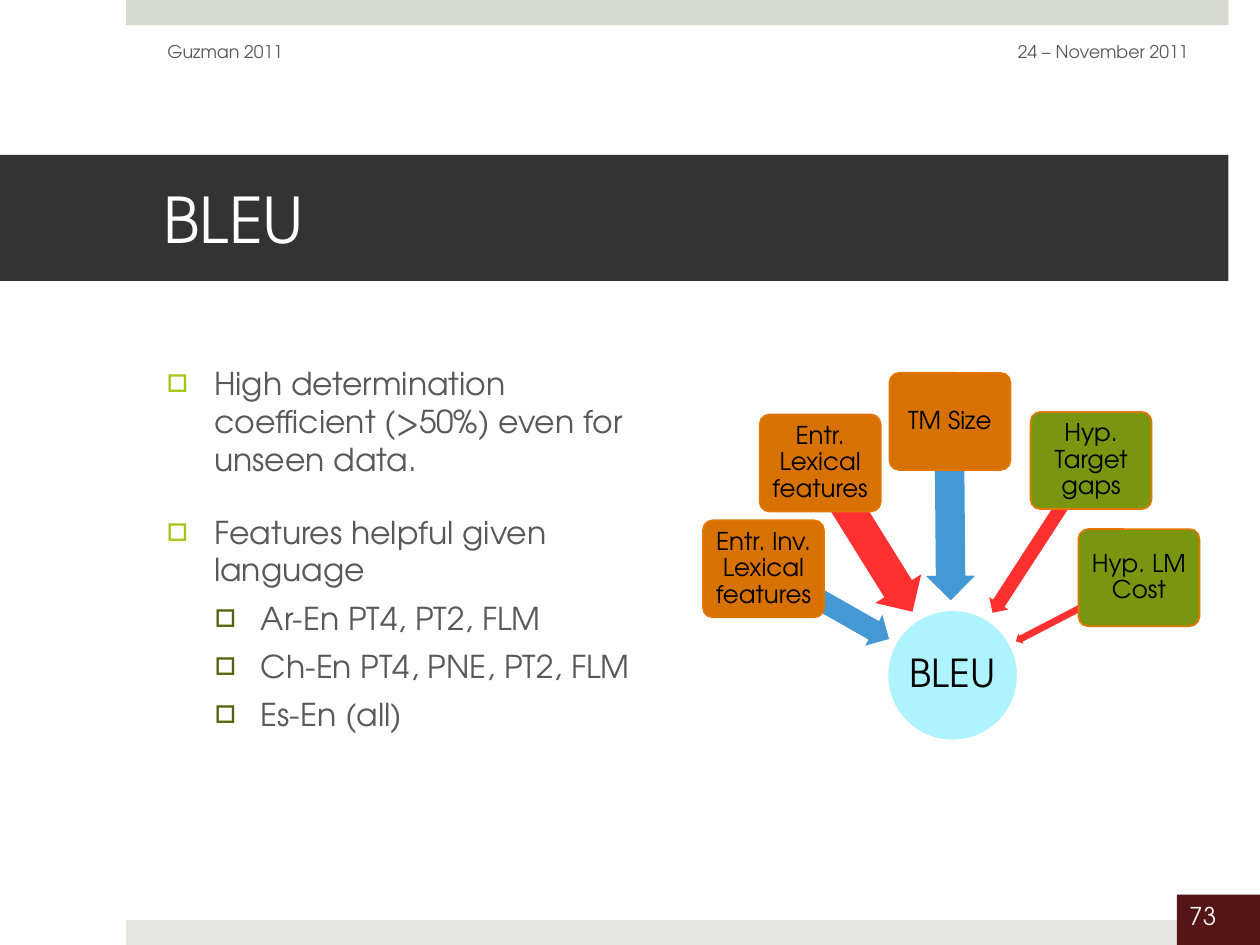
"""Build the BLEU slide with its bullet list and a diagram of converging features."""
from dataclasses import dataclass

from lxml.etree import SubElement
from pptx import Presentation
from pptx.dml.color import RGBColor
from pptx.enum.shapes import MSO_SHAPE
from pptx.enum.text import MSO_ANCHOR, MSO_AUTO_SIZE, PP_ALIGN
from pptx.oxml.ns import qn
from pptx.util import Inches, Pt


@dataclass(frozen=True)
class Theme:
    font: str = "TeX Gyre Adventor"
    top_band: str = "D6D9CD"
    bottom_band: str = "E4E6DE"
    number_fill: str = "561515"
    number_text: str = "F2F2F2"
    title_fill: str = "333333"
    title_text: str = "FFFFFF"
    body_text: str = "595959"
    label_text: str = "000000"
    bullets: tuple = ("A2C816", "51640B")
    target: str = "AFF3FF"
    blue: str = "4499D5"
    red: str = "FF3030"
    orange: str = "D67102"
    green: str = "799611"
    outline: str = "E27600"
    title_size: int = 36
    target_size: int = 22
    body_size: int = 18
    label_size: int = 14
    header_size: int = 10


def add_filled_shape(shapes, kind, bounds, color):
    shape = shapes.add_shape(kind, *(Inches(value) for value in bounds))
    shape.shadow.inherit = False
    shape.fill.solid()
    shape.fill.fore_color.rgb = RGBColor.from_string(color)
    shape.line.fill.background()
    return shape


def write_run(paragraph, text, size, color, alignment=PP_ALIGN.LEFT):
    paragraph.alignment = alignment
    run = paragraph.add_run()
    run.text = text
    run.font.name = theme.font
    run.font.size = Pt(size)
    run.font.color.rgb = RGBColor.from_string(color)


theme = Theme()
presentation = Presentation()
presentation.slide_width = Inches(10)
presentation.slide_height = Inches(7.5)
slide = presentation.slides.add_slide(presentation.slide_layouts[1])

for top, color in ((0, theme.top_band), (7.3, theme.bottom_band)):
    add_filled_shape(slide.shapes, MSO_SHAPE.RECTANGLE, (1, top, 8.75, 0.2), color)

number = add_filled_shape(
    slide.shapes, MSO_SHAPE.RECTANGLE, (9.34, 7.1, 0.66, 0.4), theme.number_fill
)
number.text_frame.vertical_anchor = MSO_ANCHOR.TOP
write_run(number.text_frame.paragraphs[0], "73", theme.label_size, theme.number_text)

title = slide.shapes.title
title.left, title.top = Inches(0), Inches(1.23)
title.width, title.height = Inches(9.75), Inches(1)
title.fill.solid()
title.fill.fore_color.rgb = RGBColor.from_string(theme.title_fill)
title.text_frame.margin_left = Inches(1.3)
title.text_frame.margin_right = Inches(0.3)
title.text_frame.vertical_anchor = MSO_ANCHOR.MIDDLE
title.text_frame.auto_size = MSO_AUTO_SIZE.NONE
write_run(title.text_frame.paragraphs[0], "BLEU", theme.title_size, theme.title_text)

body = slide.placeholders[1]
body.left, body.top = Inches(1.22), Inches(2.84)
body.width, body.height = Inches(3.9), Inches(4.03)
body.text_frame.auto_size = MSO_AUTO_SIZE.NONE
points = (
    (0, "High determination coefficient (>50%) even for unseen data."),
    (0, "Features helpful given language"),
    (1, "Ar-En PT4, PT2, FLM"),
    (1, "Ch-En PT4, PNE, PT2, FLM"),
    (1, "Es-En (all)"),
)
for index, (level, text) in enumerate(points):
    paragraph = body.text_frame.add_paragraph() if index else body.text_frame.paragraphs[0]
    paragraph.level = level
    properties = paragraph._p.get_or_add_pPr()
    properties.set("marL", str(Inches((0.38, 0.75)[level])))
    properties.set("indent", str(-Inches((0.38, 0.37)[level])))
    bullet_color = SubElement(properties, qn("a:buClr"))
    SubElement(bullet_color, qn("a:srgbClr"), val=theme.bullets[level])
    SubElement(properties, qn("a:buFont"), typeface=theme.font)
    SubElement(properties, qn("a:buChar"), char="□")
    paragraph.space_before = Pt((20, 6)[level]) if index else Pt(0)
    write_run(paragraph, text, theme.body_size, theme.body_text)

headers = (
    ("24 – November 2011", 7.2, 2.33, PP_ALIGN.RIGHT),
    ("Guzman 2011", 1.23, 3.17, PP_ALIGN.LEFT),
)
for text, left, width, alignment in headers:
    header = slide.shapes.add_textbox(Inches(left), Inches(0.21), Inches(width), Inches(0.4))
    header.text_frame.word_wrap = True
    header.text_frame.vertical_anchor = MSO_ANCHOR.MIDDLE
    write_run(
        header.text_frame.paragraphs[0], text, theme.header_size, theme.body_text, alignment
    )

diagram = slide.shapes.add_group_shape().shapes
target = add_filled_shape(diagram, MSO_SHAPE.OVAL, (7.05, 4.85, 1.02, 1.02), theme.target)
target.text_frame.word_wrap = False
target.text_frame.vertical_anchor = MSO_ANCHOR.MIDDLE
target.text_frame.paragraphs[0].line_spacing = 0.9
write_run(
    target.text_frame.paragraphs[0], "BLEU", theme.target_size, theme.label_text, PP_ALIGN.CENTER
)

features = (
    ("Entr. Inv. Lexical features", 5.58, 4.13, theme.orange,
     (5.99, 4.65, 1.14, 0.28), 209.6, theme.blue),
    ("Entr. Lexical features", 6.03, 3.29, theme.orange,
     (6.18, 4.05, 1.39, 0.43), 238.1, theme.red),
    ("TM Size", 7.06, 2.96, theme.orange,
     (6.83, 3.86, 1.42, 0.39), 269.5, theme.blue),
    ("Hyp. Target gaps", 8.18, 3.27, theme.green,
     (7.55, 4.17, 1.44, 0.18), 303, theme.red),
    ("Hyp. LM Cost", 8.56, 4.2, theme.green,
     (8, 4.79, 1.11, 0.09), 332.6, theme.red),
)
for text, left, top, color, arrow_bounds, rotation, arrow_color in features:
    arrow = add_filled_shape(diagram, MSO_SHAPE.LEFT_ARROW, arrow_bounds, arrow_color)
    arrow.adjustments[0] = 0.6
    arrow.adjustments[1] = 0.5
    arrow.rotation = rotation

    box = add_filled_shape(diagram, MSO_SHAPE.ROUNDED_RECTANGLE, (left, top, 0.96, 0.77), color)
    box.adjustments[0] = 0.1
    box.line.color.rgb = RGBColor.from_string(theme.outline)
    box.line.width = Pt(1)
    frame = box.text_frame
    frame.margin_left = frame.margin_right = Inches(0.03)
    frame.margin_top = frame.margin_bottom = Inches(0.03)
    frame.word_wrap = True
    frame.vertical_anchor = MSO_ANCHOR.MIDDLE
    frame.paragraphs[0].line_spacing = 0.9
    write_run(
        frame.paragraphs[0], text, theme.label_size, theme.label_text, PP_ALIGN.CENTER
    )

presentation.save("out.pptx")
